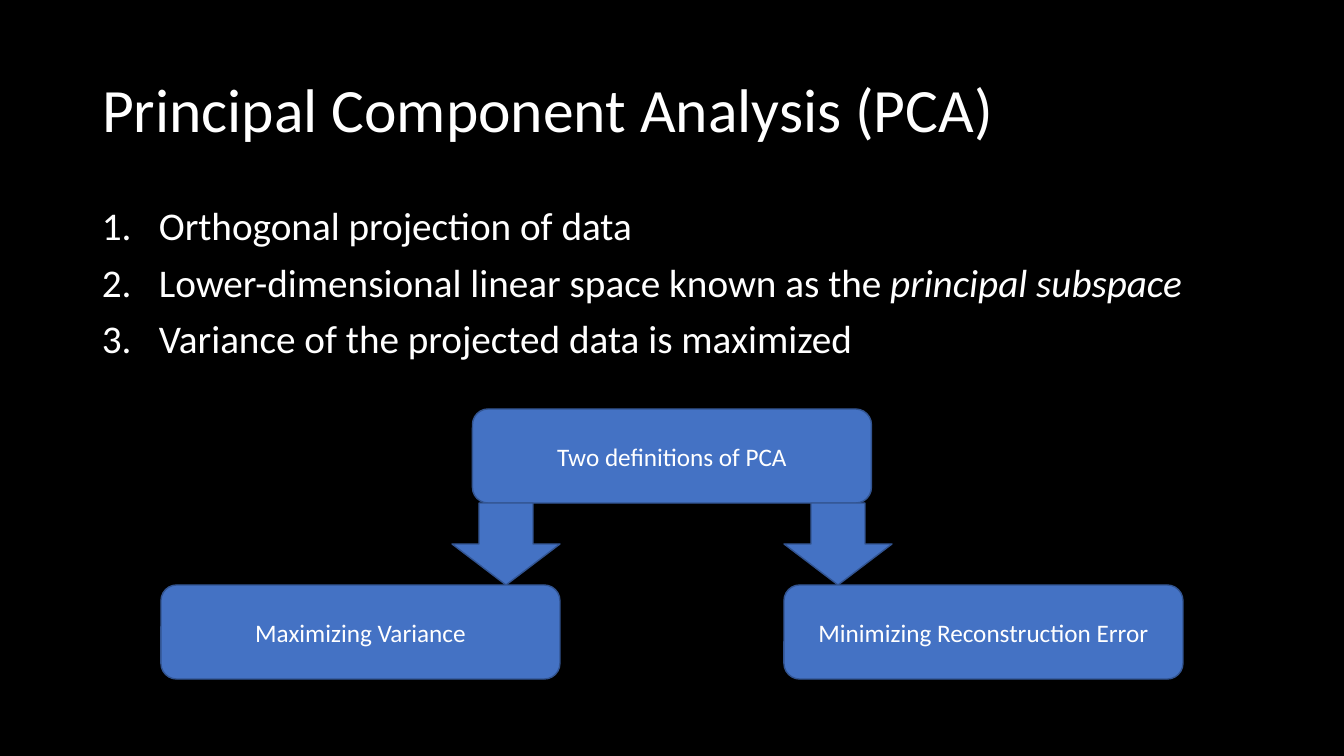
from lxml.etree import SubElement
from pptx import Presentation
from pptx.dml.color import RGBColor
from pptx.enum.shapes import MSO_SHAPE
from pptx.enum.text import MSO_ANCHOR, MSO_AUTO_SIZE, PP_ALIGN
from pptx.oxml.ns import qn
from pptx.util import Pt

BLACK = RGBColor(0x00, 0x00, 0x00)
WHITE = RGBColor(0xFF, 0xFF, 0xFF)
BLUE = RGBColor(0x44, 0x72, 0xC4)
DARK_BLUE = RGBColor(0x32, 0x54, 0x91)

FONT = "Calibri"
SLIDE_WIDTH, SLIDE_HEIGHT = 1344, 756
BOX_WIDTH, BOX_HEIGHT = 399, 94
ARROW_WIDTH, ARROW_HEIGHT = 108, 82
NUMBER_INDENT = 57

POINTS = [
    [("Orthogonal projection of data", False)],
    [("Lower-dimensional linear space known as the ", False), ("principal subspace", True)],
    [("Variance of the projected data is maximized", False)],
]


def px(length):
    return round(length * 914400 / 100.8)


def place(shape, left, top, width, height):
    shape.left, shape.top = px(left), px(top)
    shape.width, shape.height = px(width), px(height)


def add_text(para, text, size=18, italic=False, align=PP_ALIGN.LEFT, line_spacing=1.0):
    para.alignment = align
    para.line_spacing = line_spacing
    span = para.add_run()
    span.text = text
    span.font.name = FONT
    span.font.size = Pt(size)
    span.font.bold = False
    span.font.italic = italic
    span.font.color.rgb = WHITE


def number_paragraph(para):
    properties = para._p.get_or_add_pPr()
    properties.set("marL", str(px(NUMBER_INDENT)))
    properties.set("indent", str(-px(NUMBER_INDENT)))
    SubElement(properties, qn("a:buFont"), typeface="+mj-lt")
    SubElement(properties, qn("a:buAutoNum"), type="arabicPeriod")


def add_blue_shape(page, kind, left, top, width, height):
    shape = page.shapes.add_shape(kind, px(left), px(top), px(width), px(height))
    shape.shadow.inherit = False
    shape.fill.solid()
    shape.fill.fore_color.rgb = BLUE
    shape.line.color.rgb = DARK_BLUE
    shape.line.width = Pt(1)
    return shape


def add_label_box(page, text, left, top):
    box = add_blue_shape(page, MSO_SHAPE.ROUNDED_RECTANGLE, left, top, BOX_WIDTH, BOX_HEIGHT)
    frame = box.text_frame
    frame.word_wrap = True
    frame.vertical_anchor = MSO_ANCHOR.MIDDLE
    add_text(frame.paragraphs[0], text, align=PP_ALIGN.CENTER)


def fill_title(page, left, top, width, height):
    title = page.shapes.title
    place(title, left, top, width, height)
    frame = title.text_frame
    frame.word_wrap = True
    frame.auto_size = MSO_AUTO_SIZE.NONE
    frame.vertical_anchor = MSO_ANCHOR.MIDDLE
    add_text(frame.paragraphs[0], "Principal Component Analysis (PCA)", size=44, line_spacing=0.9)


def add_numbered_list(page, left, top, width, height):
    box = page.shapes.add_textbox(px(left), px(top), px(width), px(height))
    frame = box.text_frame
    frame.word_wrap = True
    for index, spans in enumerate(POINTS):
        para = frame.paragraphs[0] if index == 0 else frame.add_paragraph()
        number_paragraph(para)
        para.font.size = Pt(28)
        para.font.color.rgb = WHITE
        para.space_before = Pt(10 if index else 0)
        for text, italic in spans:
            add_text(para, text, size=28, italic=italic, line_spacing=0.9)


def add_definitions(page, left, top, width):
    """One box on top, with an arrow down to the inner end of each lower box."""
    arrow_top = top + BOX_HEIGHT
    lower_top = arrow_top + ARROW_HEIGHT
    right_box = left + width - BOX_WIDTH
    left_arrow = left + BOX_WIDTH - ARROW_WIDTH

    add_label_box(page, "Two definitions of PCA", left + (width - BOX_WIDTH) / 2, top)
    for arrow_left in (left_arrow, right_box):
        add_blue_shape(page, MSO_SHAPE.DOWN_ARROW, arrow_left, arrow_top, ARROW_WIDTH, ARROW_HEIGHT)
    add_label_box(page, "Maximizing Variance", left, lower_top)
    add_label_box(page, "Minimizing Reconstruction Error", right_box, lower_top)


def main():
    deck = Presentation()
    deck.slide_width, deck.slide_height = px(SLIDE_WIDTH), px(SLIDE_HEIGHT)
    page = deck.slides.add_slide(deck.slide_layouts[5])
    page.background.fill.solid()
    page.background.fill.fore_color.rgb = BLACK

    # Title and list
    fill_title(page, 92, 40, 1160, 146)
    add_numbered_list(page, 92, 202, 1160, 480)

    # Diagram
    add_definitions(page, 161, 409, 1022)

    deck.save("out.pptx")


if __name__ == "__main__":
    main()
